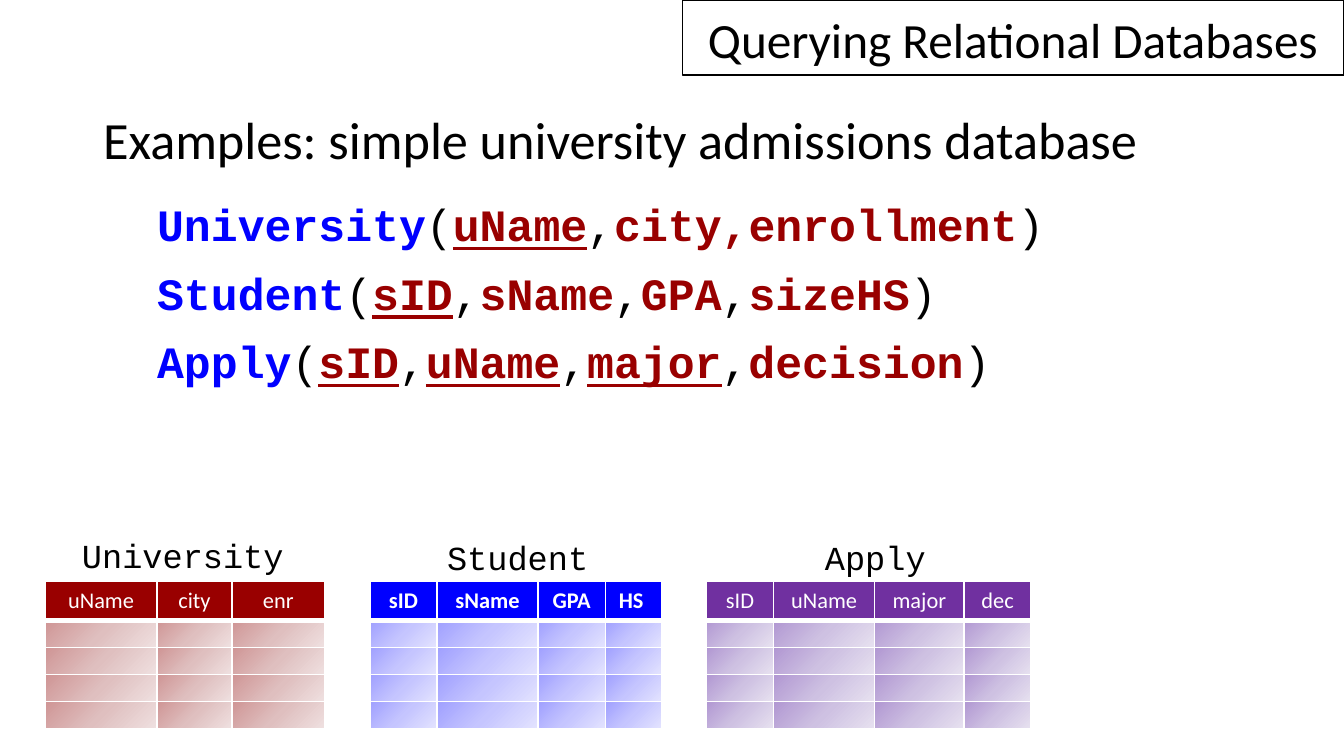
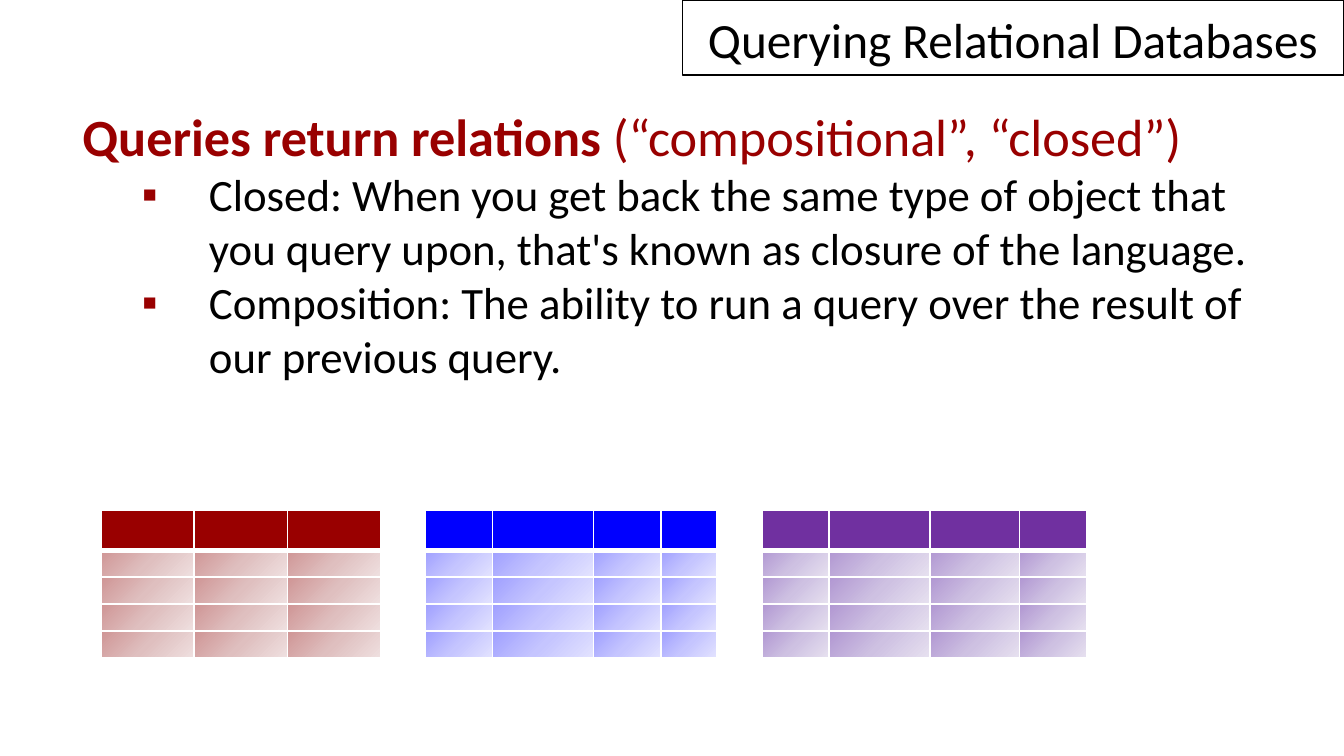
from dataclasses import dataclass

from lxml import etree
from pptx import Presentation
from pptx.dml.color import RGBColor
from pptx.enum.shapes import MSO_SHAPE
from pptx.enum.text import MSO_ANCHOR, MSO_AUTO_SIZE, PP_ALIGN
from pptx.oxml import parse_xml
from pptx.oxml.ns import qn
from pptx.util import Cm, Pt

RECTANGLE = MSO_SHAPE.RECTANGLE
BOTTOM = MSO_ANCHOR.BOTTOM
MIDDLE = MSO_ANCHOR.MIDDLE
GROW = MSO_AUTO_SIZE.SHAPE_TO_FIT_TEXT
LEFT = PP_ALIGN.LEFT
CENTER = PP_ALIGN.CENTER

BLACK = RGBColor(0x00, 0x00, 0x00)
WHITE = RGBColor(0xFF, 0xFF, 0xFF)
RED = RGBColor(0x99, 0x00, 0x00)
BLUE = RGBColor(0x00, 0x00, 0xFF)
PURPLE = RGBColor(0x70, 0x30, 0xA0)
RED_SHADES = (RGBColor(0xCF, 0x95, 0x95), RGBColor(0xDF, 0xBF, 0xBF), RGBColor(0xEF, 0xE0, 0xE0))
BLUE_SHADES = (RGBColor(0xA0, 0xA0, 0xFF), RGBColor(0xC5, 0xC5, 0xFF), RGBColor(0xE3, 0xE3, 0xFF))
PURPLE_SHADES = (RGBColor(0xB1, 0x97, 0xD2), RGBColor(0xCE, 0xC1, 0xE2), RGBColor(0xE7, 0xE1, 0xF0))

BODY_FONT = "Calibri"
CODE_FONT = "Courier New"
DRAWING = "http://schemas.openxmlformats.org/drawingml/2006/main"

TITLE = "Querying Relational Databases"
BODY_ROWS = 4
HEADER_HEIGHT = 0.75
ROW_HEIGHT = 0.51
TABLE_GAP = 0.85


@dataclass
class Relation:
    color: RGBColor
    shades: tuple
    columns: tuple
    widths: tuple
    bold: bool = False


UNIVERSITY = Relation(RED, RED_SHADES, ("uName", "city", "enr"), (2.12, 1.41, 1.76))
STUDENT = Relation(BLUE, BLUE_SHADES, ("sID", "sName", "GPA", "HS"), (1.27, 1.91, 1.27, 1.06), True)
APPLY = Relation(PURPLE, PURPLE_SHADES, ("sID", "uName", "major", "dec"), (1.27, 1.91, 1.69, 1.27))
QUERY_RESULT = Relation(RED, RED_SHADES, ("",) * 3, (1.76,) * 3)

SCHEMAS = (
    ("University", ("uName",), ("city,enrollment",)),
    ("Student", ("sID",), ("sName", "GPA", "sizeHS")),
    ("Apply", ("sID", "uName", "major"), ("decision",)),
)
TABLE_LABELS = (
    ("University", 1.3, 9.98, 4.39),
    ("Student", 8.2, 10.03, 3.23),
    ("Apply", 15.34, 10.03, 2.44),
)
DEFINITIONS = (
    "Closed: When you get back the same type of object that you query upon, "
    "that's known as closure of the language.",
    "Composition: The ability to run a query over the result of our previous query.",
)


def add_span(para, text, size, color=BLACK, font=BODY_FONT, bold=False, underline=False):
    span = para.add_run()
    span.text = text
    span.font.name = font
    span.font.size = Pt(size)
    span.font.color.rgb = color
    span.font.bold = bold
    span.font.underline = underline


def set_indent(para, margin, first_line=0):
    properties = para._p.get_or_add_pPr()
    properties.set("marL", str(Cm(margin)))
    properties.set("indent", str(Cm(first_line)))
    return properties


def add_bullet(para):
    properties = set_indent(para, 2.64, -1.27)
    color = etree.SubElement(properties, qn("a:buClr"))
    etree.SubElement(color, qn("a:srgbClr"), val=str(RED))
    etree.SubElement(properties, qn("a:buFont"), typeface="Arial")
    etree.SubElement(properties, qn("a:buChar"), char="▪")


def add_text_frame(page, left, top, width, height, wrap=True):
    box = page.shapes.add_textbox(Cm(left), Cm(top), Cm(width), Cm(height))
    box.text_frame.word_wrap = wrap
    return box.text_frame


def add_title(page):
    box = page.shapes.add_shape(RECTANGLE, Cm(12.9), Cm(0), Cm(12.5), Cm(1.42))
    box.shadow.inherit = False
    box.fill.background()
    box.line.color.rgb = BLACK
    box.line.width = Pt(0.75)
    box.text_frame.vertical_anchor = BOTTOM
    box.text_frame.word_wrap = True
    para = box.text_frame.paragraphs[0]
    para.alignment = CENTER
    add_span(para, TITLE, 26.4)


def add_schema(frame, name, keys, others):
    para = frame.add_paragraph()
    para.space_after = Pt(6)
    para.line_spacing = 1.07
    set_indent(para, 1.02)
    add_span(para, name, 24, BLUE, CODE_FONT, bold=True)
    separator = "("
    for attribute in keys + others:
        add_span(para, separator, 24, font=CODE_FONT)
        add_span(para, attribute, 24, RED, CODE_FONT, bold=True, underline=attribute in keys)
        separator = ","
    add_span(para, ")", 24, font=CODE_FONT)


def set_borders(cell, bottom_width):
    properties = cell._tc.get_or_add_tcPr()
    for side, width in (("L", 1), ("R", 1), ("T", 1), ("B", bottom_width)):
        line = etree.SubElement(properties, qn(f"a:ln{side}"), w=str(Pt(width)))
        fill = etree.SubElement(line, qn("a:solidFill"))
        etree.SubElement(fill, qn("a:srgbClr"), val=str(WHITE))


def set_gradient(cell, shades):
    stops = "".join(
        f'<a:gs pos="{index * 50000}"><a:srgbClr val="{shade}"/></a:gs>'
        for index, shade in enumerate(shades)
    )
    cell._tc.get_or_add_tcPr().append(parse_xml(
        f'<a:gradFill xmlns:a="{DRAWING}" rotWithShape="1"><a:gsLst>{stops}</a:gsLst>'
        '<a:lin ang="2700000" scaled="0"/></a:gradFill>'
    ))


def format_cell(cell, bottom_width):
    cell.margin_top = cell.margin_bottom = Cm(0.1)
    cell.vertical_anchor = MIDDLE
    set_borders(cell, bottom_width)


def set_empty_size(cell, size):
    para = cell.text_frame.paragraphs[0]
    etree.SubElement(para._p, qn("a:endParaRPr"), sz=str(size * 100))


def add_relation(page, relation, left, top, named):
    height = HEADER_HEIGHT + BODY_ROWS * ROW_HEIGHT
    frame = page.shapes.add_table(
        BODY_ROWS + 1, len(relation.widths), Cm(left), Cm(top), Cm(sum(relation.widths)), Cm(height)
    )
    table = frame.table
    table.first_row = False
    table.horz_banding = False
    for row in table.rows:
        row.height = Cm(ROW_HEIGHT)
    table.rows[0].height = Cm(HEADER_HEIGHT)
    for index, (name, width) in enumerate(zip(relation.columns, relation.widths)):
        table.columns[index].width = Cm(width)
        header = table.cell(0, index)
        format_cell(header, 3)
        header.fill.solid()
        header.fill.fore_color.rgb = relation.color
        if named:
            para = header.text_frame.paragraphs[0]
            para.alignment = LEFT if name == "HS" else CENTER
            add_span(para, name, 12, WHITE, bold=relation.bold)
        else:
            set_empty_size(header, 12)
        for row in range(1, BODY_ROWS + 1):
            cell = table.cell(row, index)
            format_cell(cell, 1)
            set_gradient(cell, relation.shades)
            set_empty_size(cell, 5)


def add_relations(page, relations, left, top, named):
    for relation in relations:
        add_relation(page, relation, left, top, named)
        left += sum(relation.widths) + TABLE_GAP


def add_table_label(page, name, left, top, width):
    frame = add_text_frame(page, left, top, width, 1.02, wrap=False)
    frame.auto_size = GROW
    add_span(frame.paragraphs[0], name, 18, font=CODE_FONT)


def build_examples(page):
    frame = add_text_frame(page, 1.7, 1.91, 20.75, 5.38)
    frame.auto_size = GROW
    heading = frame.paragraphs[0]
    heading.space_after = Pt(12)
    add_span(heading, "Examples: simple university admissions database", 28)
    for schema in SCHEMAS:
        add_schema(frame, *schema)
    add_relations(page, (UNIVERSITY, STUDENT, APPLY), 0.85, 10.98, named=True)
    for label in TABLE_LABELS:
        add_table_label(page, *label)
    add_title(page)


def build_closure(page):
    add_title(page)
    frame = add_text_frame(page, 1.06, 1.85, 23.07, 9.68)
    heading = frame.paragraphs[0]
    set_indent(heading, 0.76, -0.51)
    add_span(heading, "Queries return relations ", 28, RED, bold=True)
    add_span(heading, "(“compositional”, “closed”)", 28, RED)
    for definition in DEFINITIONS:
        para = frame.add_paragraph()
        para.level = 1
        add_bullet(para)
        add_span(para, definition, 24)
    add_relations(page, (QUERY_RESULT, STUDENT, APPLY), 1.91, 9.65, named=False)


def main():
    deck = Presentation()
    deck.slide_width = Cm(25.4)
    deck.slide_height = Cm(14.29)
    blank = deck.slide_layouts[6]
    for build in (build_examples, build_closure):
        build(deck.slides.add_slide(blank))
    deck.save("out.pptx")


if __name__ == "__main__":
    main()
